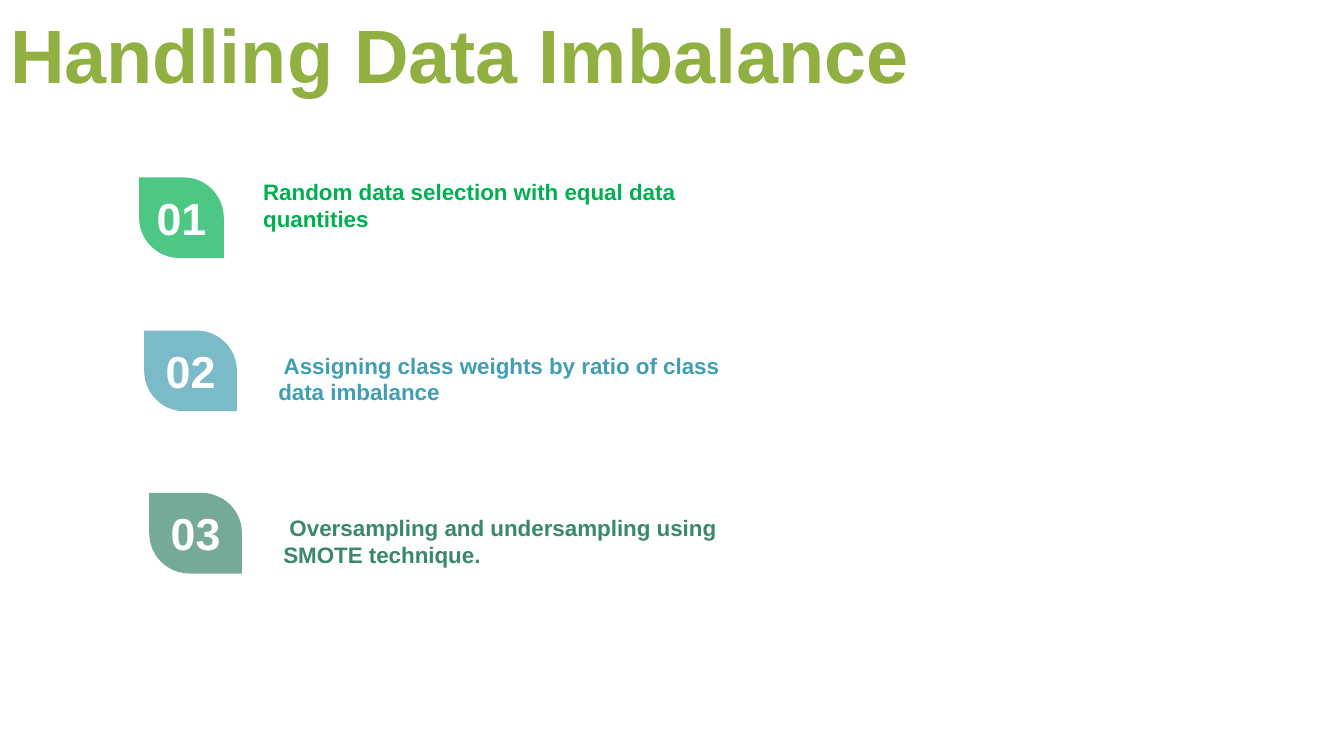
import pptx
import pptx.util
import pptx.dml.color
import pptx.enum.shapes
import pptx.enum.text
import pptx.oxml.ns
import lxml.etree

Inches = pptx.util.Inches
ALIGN = pptx.enum.text.PP_ALIGN
ANCHOR = pptx.enum.text.MSO_ANCHOR

STEPS = [
    {"number": "01", "text": "Random data selection with equal data quantities",
     "color": "00B050", "badge": (1.38, 1.76, 0.84, 0.8), "label": (2.49, 1.72, 4.7, 0.64)},
    {"number": "02", "text": " Assigning class weights by ratio of class data imbalance",
     "color": "429EB3", "badge": (1.43, 3.28, 0.92, 0.8), "label": (2.64, 3.44, 5.1, 0.64)},
    {"number": "03", "text": " Oversampling and undersampling using SMOTE technique.",
     "color": "3A876B", "badge": (1.48, 4.89, 0.92, 0.8), "label": (2.69, 5.05, 5.1, 0.64)},
]


def rgb(color):
    """Return the colour of a hex string."""
    return pptx.dml.color.RGBColor.from_string(color)


def write(sp, text, size, color, align=ALIGN.LEFT, anchor=ANCHOR.TOP, inset=0.12):
    """Write one bold line of formatted text into a shape."""
    tf = sp.text_frame
    frame = {"word_wrap": True, "auto_size": pptx.enum.text.MSO_AUTO_SIZE.NONE,
             "vertical_anchor": anchor, "margin_left": Inches(inset),
             "margin_right": Inches(inset), "margin_top": Inches(0.05),
             "margin_bottom": Inches(0.05)}
    for name, value in frame.items():
        setattr(tf, name, value)
    p = tf.paragraphs[0]
    p.alignment = align
    r = p.add_run()
    r.text = text
    for name, value in {"name": "Arial", "size": pptx.util.Pt(size), "bold": True}.items():
        setattr(r.font, name, value)
    r.font.color.rgb = rgb(color)


def add_title(s, text, box):
    """Place and format the title placeholder in the box."""
    sp = s.shapes.title
    for name, value in zip(("left", "top", "width", "height"), box):
        setattr(sp, name, Inches(value))
    write(sp, text, 54, "90B141", anchor=ANCHOR.MIDDLE, inset=0.1)


def add_badge(group, box, number, color):
    """Draw a translucent leaf in the box with a number on it."""
    leaf = pptx.enum.shapes.MSO_SHAPE.ROUND_2_DIAG_RECTANGLE
    sp = group.shapes.add_shape(leaf, *map(Inches, box))
    sp.adjustments[0], sp.adjustments[1] = 0, 0.5
    sp.shadow.inherit = False
    sp.line.fill.background()
    sp.fill.solid()
    sp.fill.fore_color.rgb = rgb(color)
    qn = pptx.oxml.ns.qn
    fill = sp.fill._xPr.find(qn("a:solidFill"))
    lxml.etree.SubElement(fill[0], qn("a:alpha"), val="70000")
    left, top, width, height = box
    inner = (left + 0.05, top + 0.08, width - 0.1, height - 0.16)
    sp = group.shapes.add_textbox(*map(Inches, inner))
    write(sp, number, 32, "FFFFFF", ALIGN.CENTER)


def add_step(s, step):
    """Group a numbered badge with its label."""
    group = s.shapes.add_group_shape()
    add_badge(group, step["badge"], step["number"], step["color"])
    sp = group.shapes.add_textbox(*map(Inches, step["label"]))
    write(sp, step["text"], 16, step["color"])


def main():
    """Build and save the slide."""
    prs = pptx.Presentation()
    prs.slide_width, prs.slide_height = Inches(13.33), Inches(7.5)
    s = prs.slides.add_slide(prs.slide_layouts.get_by_name("Title Only"))
    add_title(s, "Handling Data Imbalance", (0, 0.02, 11.03, 1.01))
    for step in STEPS:
        add_step(s, step)
    prs.save("out.pptx")


if __name__ == "__main__":
    main()
